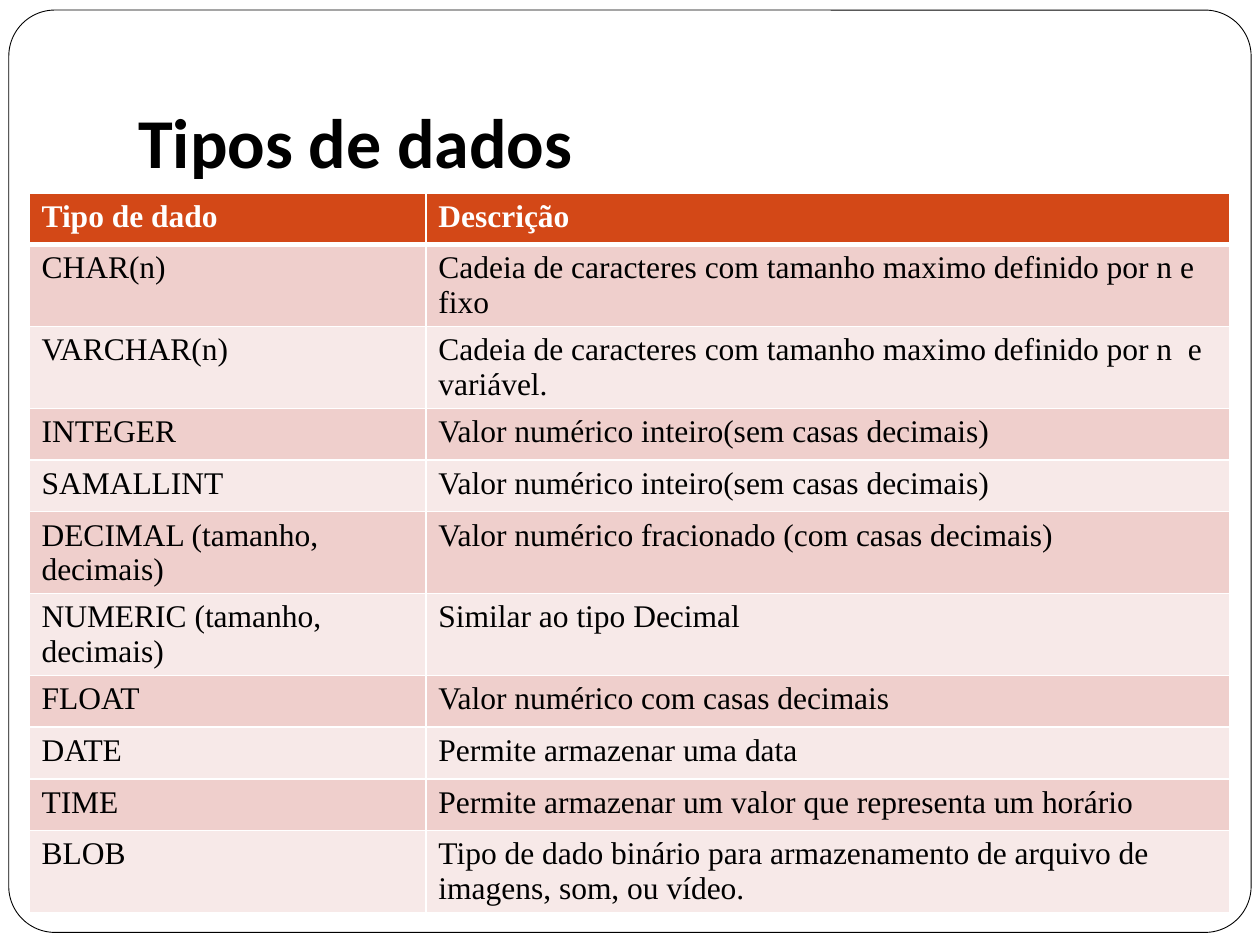
from lxml.etree import SubElement
from pptx import Presentation
from pptx.dml.color import RGBColor
from pptx.enum.shapes import MSO_SHAPE
from pptx.enum.text import MSO_ANCHOR
from pptx.oxml.ns import qn
from pptx.util import Inches, Pt


def write_text(text_frame, text, font="Times New Roman", size=18, color="000000", bold=False):
    run = text_frame.paragraphs[0].add_run()
    run.text = text
    run.font.name = font
    run.font.size = Pt(size)
    run.font.bold = bold
    run.font.color.rgb = RGBColor.from_string(color)


def set_borders(cell, bottom_width):
    """Draw white borders, 1 pt except for the bottom one; call before filling."""
    properties = cell._tc.get_or_add_tcPr()
    for side, width in (("lnL", 1), ("lnR", 1), ("lnT", 1), ("lnB", bottom_width)):
        line = SubElement(properties, qn(f"a:{side}"), w=str(Pt(width)))
        fill = SubElement(line, qn("a:solidFill"))
        SubElement(fill, qn("a:srgbClr"), val="FFFFFF")


presentation = Presentation()
presentation.slide_width = Inches(10)
presentation.slide_height = Inches(7.5)
slide = presentation.slides.add_slide(presentation.slide_layouts[6])

# Rounded frame
frame = slide.shapes.add_shape(
    MSO_SHAPE.ROUNDED_RECTANGLE, Inches(0.07), Inches(0.08), Inches(9.86), Inches(7.32)
)
frame.adjustments[0] = 0.05
frame.shadow.inherit = False
frame.fill.solid()
frame.fill.fore_color.rgb = RGBColor.from_string("FFFFFF")
frame.line.color.rgb = RGBColor.from_string("000000")
frame.line.width = Pt(0.5)

# Title
title = slide.shapes.add_textbox(Inches(1), Inches(0.3), Inches(8.5), Inches(1.25)).text_frame
title.word_wrap = True
title.vertical_anchor = MSO_ANCHOR.BOTTOM
title.margin_bottom = Inches(0.1)
write_text(title, "Tipos de dados", font="Calibri", size=40, bold=True)

# Table of data types
data_types = [
    ("Tipo de dado", "Descrição"),
    ("CHAR(n)", "Cadeia de caracteres com tamanho maximo definido por n e fixo"),
    ("VARCHAR(n)", "Cadeia de caracteres com tamanho maximo definido por n  e variável."),
    ("INTEGER", "Valor numérico inteiro(sem casas decimais)"),
    ("SAMALLINT", "Valor numérico inteiro(sem casas decimais)"),
    ("DECIMAL (tamanho, decimais)", "Valor numérico fracionado (com casas decimais)"),
    ("NUMERIC (tamanho, decimais)", "Similar ao tipo Decimal"),
    ("FLOAT", "Valor numérico com casas decimais"),
    ("DATE", "Permite armazenar uma data"),
    ("TIME", "Permite armazenar um valor que representa um horário"),
    ("BLOB", "Tipo de dado binário para armazenamento de arquivo de imagens, som, ou vídeo."),
]
row_height = Inches(0.41)
table = slide.shapes.add_table(
    len(data_types), 2, Inches(0.23), Inches(1.53), Inches(9.53), row_height * len(data_types)
).table
table.columns[0].width = Inches(3.15)
table.columns[1].width = Inches(6.38)

for row_index, row_texts in enumerate(data_types):
    is_header = row_index == 0
    table.rows[row_index].height = row_height
    if is_header:
        fill_color = "D34817"
    else:
        fill_color = "EFCFCC" if row_index % 2 else "F7E9E8"
    for column_index, text in enumerate(row_texts):
        cell = table.cell(row_index, column_index)
        cell.margin_bottom = Inches(0)
        set_borders(cell, bottom_width=3 if is_header else 1)
        cell.fill.solid()
        cell.fill.fore_color.rgb = RGBColor.from_string(fill_color)
        write_text(cell.text_frame, text, color="FFFFFF" if is_header else "000000", bold=is_header)

presentation.save("out.pptx")
